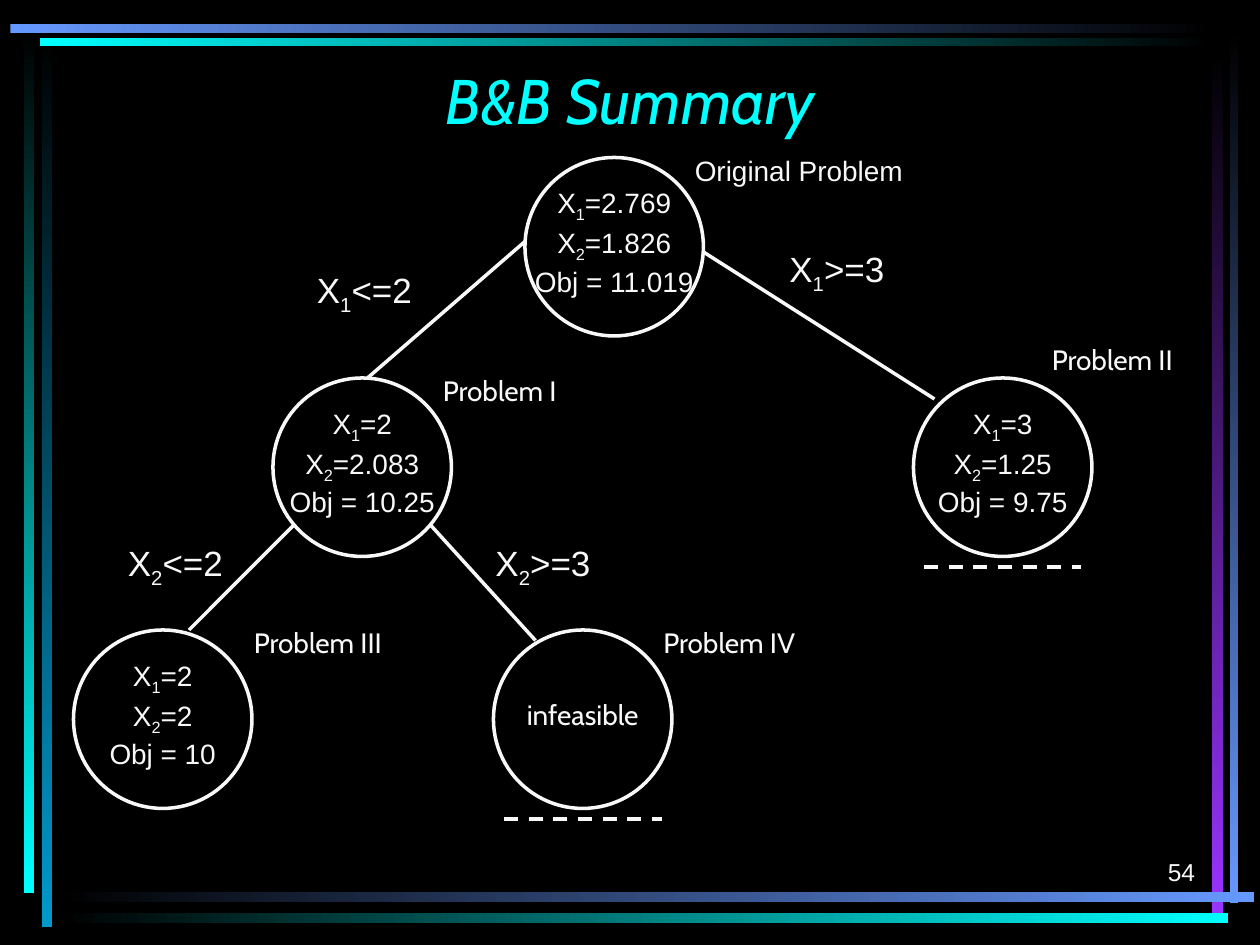
import pptx
import pptx.util
import pptx.dml.color
import pptx.enum.dml
import pptx.enum.shapes
import pptx.enum.text
import pptx.oxml

Pt = pptx.util.Pt
RGBColor = pptx.dml.color.RGBColor
ALIGN = pptx.enum.text.PP_ALIGN
ANCHOR = pptx.enum.text.MSO_ANCHOR
SHAPE = pptx.enum.shapes.MSO_SHAPE

BLACK = RGBColor(0x00, 0x00, 0x00)
WHITE = RGBColor(0xF8, 0xF8, 0xF8)
CYAN = RGBColor(0x00, 0xFF, 0xFF)
TEAL = RGBColor(0x00, 0x99, 0xCC)
BLUE = RGBColor(0x66, 0x99, 0xFF)
PURPLE = RGBColor(0x99, 0x33, 0xFF)

DOWN, ACROSS = 270, 0
FRAME_BARS = [
    (23.8, 20.2, 5.8, 509.8, DOWN, BLACK, TEAL),
    (13.7, 18, 5.8, 492.5, DOWN, BLACK, CYAN),
    (702.7, 17.3, 5, 499, DOWN, BLACK, BLUE),
    (692.6, 30.2, 6.1, 491.8, DOWN, BLACK, PURPLE),
    (32.4, 509.8, 684, 5.8, ACROSS, BLACK, BLUE),
    (32.4, 521.6, 669.6, 5.8, ACROSS, BLACK, CYAN),
    (23, 21.7, 671, 4.5, ACROSS, CYAN, BLACK),
    (6, 13.7, 688.3, 5, ACROSS, BLUE, BLACK),
]

NODE_SIZE = 102
NODES = [
    (300, 90, ["X_1=2.769", "X_2=1.826", "Obj = 11.019"], False),
    (156, 216, ["X_1=2", "X_2=2.083", "Obj = 10.25"], False),
    (42, 360, ["X_1=2", "X_2=2", "Obj = 10"], False),
    (282, 360, ["infeasible"], True),
    (522, 216, ["X_1=3", "X_2=1.25", "Obj = 9.75"], True),
]
BRANCHES = [
    (402, 144, 534, 228),
    (300, 138, 210, 216),
    (168, 300, 108, 360),
    (246, 300, 306, 366),
]
PROBLEM_LABELS = [
    (390, 84, 216, "Original Problem", "Arial"),
    (594, 192, 108, "Problem II", "Cabin"),
    (246, 210, 108, "Problem I", "Cabin"),
    (138, 354, 108, "Problem III", "Cabin"),
    (372, 354, 108, "Problem IV", "Cabin"),
]
BRANCH_LABELS = [
    (444, 138, "X_1>=3"),
    (174, 150, "X_1<=2"),
    (276, 306, "X_2>=3"),
    (66, 306, "X_2<=2"),
]


def add_subscripted(paragraph, text):
    first, *rest = text.split("_")
    paragraph.add_run().text = first
    for piece in rest:
        subscript = paragraph.add_run()
        subscript.text = piece[0]
        subscript._r.get_or_add_rPr().set("baseline", "-25000")
        paragraph.add_run().text = piece[1:]


def add_text(slide, left, top, width, height, lines, size=16, font="Arial",
             align=ALIGN.LEFT, spacing=None, anchor=ANCHOR.TOP):
    box = slide.shapes.add_textbox(Pt(left), Pt(top), Pt(width), Pt(height))
    frame = box.text_frame
    frame.word_wrap = True
    frame.vertical_anchor = anchor
    for index, line in enumerate(lines):
        paragraph = frame.add_paragraph() if index else frame.paragraphs[0]
        paragraph.alignment = align
        if spacing:
            paragraph.line_spacing = spacing
        if index:
            paragraph.space_before = Pt(10)
        paragraph.font.size = Pt(size)
        paragraph.font.name = font
        paragraph.font.color.rgb = WHITE
        add_subscripted(paragraph, line)


def add_line(slide, x1, y1, x2, y2, dashed=False):
    connector = slide.shapes.add_connector(
        pptx.enum.shapes.MSO_CONNECTOR.STRAIGHT, Pt(x1), Pt(y1), Pt(x2), Pt(y2))
    connector.line.color.rgb = WHITE
    connector.line.width = Pt(2)
    if dashed:
        connector.line.dash_style = pptx.enum.dml.MSO_LINE.DASH
    effects = pptx.oxml.parse_xml(
        '<a:effectLst xmlns:a="http://schemas.openxmlformats.org/drawingml/2006/main"/>')
    connector._element.spPr.append(effects)


def add_frame_bar(slide, left, top, width, height, angle, start, end):
    bar = slide.shapes.add_shape(
        SHAPE.RECTANGLE, Pt(left), Pt(top), Pt(width), Pt(height))
    bar.shadow.inherit = False
    bar.line.fill.background()
    bar.fill.gradient()
    bar.fill.gradient_angle = angle
    for stop, color in zip(bar.fill.gradient_stops, (start, end)):
        stop.color.rgb = color


def add_title(slide, left, top, width, height, text):
    title = slide.shapes.title
    title.left, title.top = Pt(left), Pt(top)
    title.width, title.height = Pt(width), Pt(height)
    frame = title.text_frame
    frame.text = text
    frame.auto_size = pptx.enum.text.MSO_AUTO_SIZE.NONE
    frame.vertical_anchor = ANCHOR.BOTTOM
    paragraph = frame.paragraphs[0]
    paragraph.alignment = ALIGN.CENTER
    paragraph.font.size = Pt(36)
    paragraph.font.name = "Cabin"
    paragraph.font.italic = True
    paragraph.font.color.rgb = CYAN


def add_node(slide, left, top, lines, pruned):
    circle = slide.shapes.add_shape(
        SHAPE.OVAL, Pt(left), Pt(top), Pt(NODE_SIZE), Pt(NODE_SIZE))
    circle.shadow.inherit = False
    circle.fill.background()
    circle.line.color.rgb = WHITE
    circle.line.width = Pt(2)
    single = len(lines) == 1
    add_text(slide, left - 6, top + (42 if single else 18), NODE_SIZE + 12,
             19 if single else 65, lines, font="Cabin" if single else "Arial",
             align=ALIGN.CENTER, spacing=0.6)
    if pruned:
        bottom = top + NODE_SIZE + 6
        add_line(slide, left + 6, bottom, left + NODE_SIZE - 6, bottom, dashed=True)


def add_tree(slide):
    for node in NODES:
        add_node(slide, *node)
    for branch in BRANCHES:
        add_line(slide, *branch)
    for left, top, width, text, font in PROBLEM_LABELS:
        add_text(slide, left, top, width, 27, [text], font=font)
    for left, top, text in BRANCH_LABELS:
        add_text(slide, left, top, 102, 35, [text], size=20)


def main():
    presentation = pptx.Presentation()
    presentation.slide_width, presentation.slide_height = Pt(720), Pt(540)
    slide = presentation.slides.add_slide(presentation.slide_layouts[5])
    slide.background.fill.solid()
    slide.background.fill.fore_color.rgb = BLACK
    for bar in FRAME_BARS:
        add_frame_bar(slide, *bar)
    add_title(slide, 54, 48, 612, 34, "B&B Summary")
    add_tree(slide)
    add_text(slide, 540, 474, 150, 36, ["54"], size=14,
             align=ALIGN.RIGHT, anchor=ANCHOR.BOTTOM)
    presentation.save("out.pptx")


if __name__ == "__main__":
    main()
